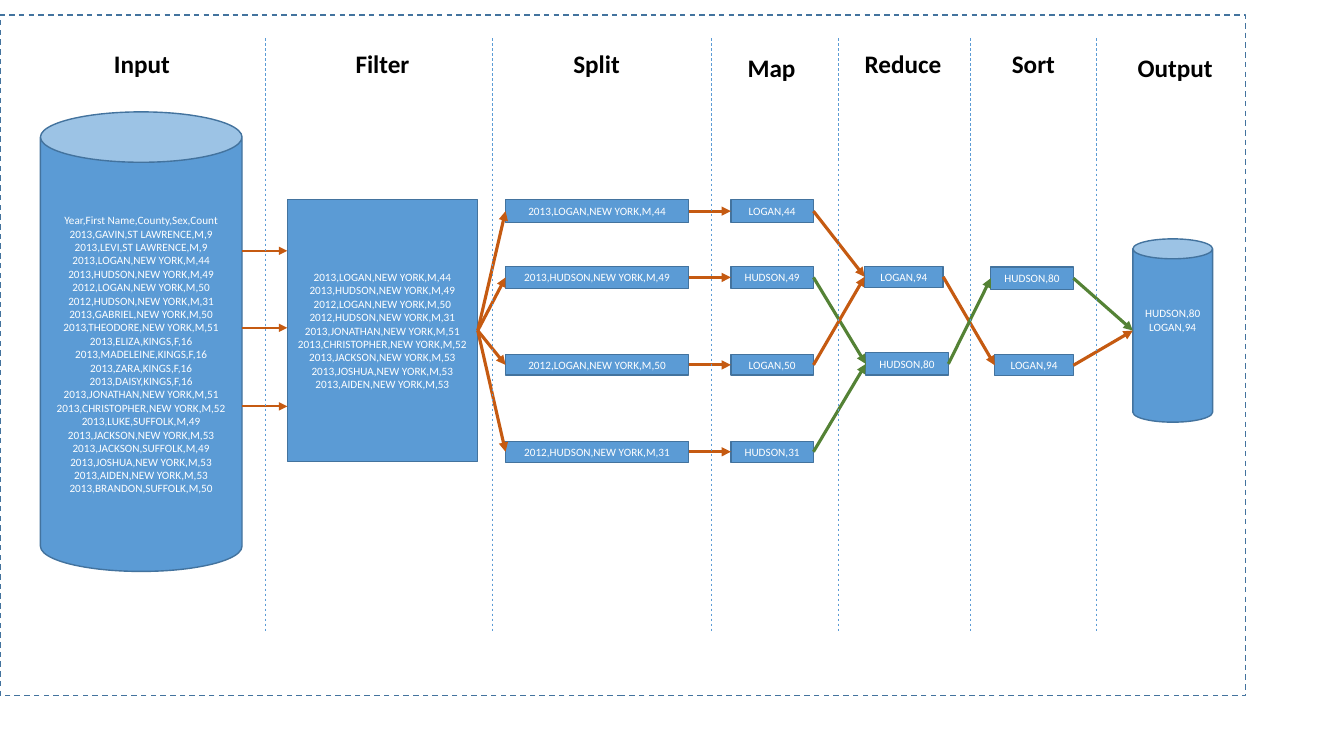
from lxml import etree
from pptx import Presentation
from pptx.dml.color import RGBColor
from pptx.enum.dml import MSO_LINE
from pptx.enum.shapes import MSO_CONNECTOR, MSO_SHAPE
from pptx.enum.text import MSO_ANCHOR, MSO_AUTO_SIZE, PP_ALIGN
from pptx.oxml.ns import qn
from pptx.util import Cm, Pt

BLUE, EDGE, ORANGE, GREEN = "5B9BD5", "43739E", "C55A11", "548235"
LEFT_SITE, RIGHT_SITE = 1, 3

RECORDS = [
    "Year,First Name,County,Sex,Count",
    "2013,GAVIN,ST LAWRENCE,M,9",
    "2013,LEVI,ST LAWRENCE,M,9",
    "2013,LOGAN,NEW YORK,M,44",
    "2013,HUDSON,NEW YORK,M,49",
    "2012,LOGAN,NEW YORK,M,50",
    "2012,HUDSON,NEW YORK,M,31",
    "2013,GABRIEL,NEW YORK,M,50",
    "2013,THEODORE,NEW YORK,M,51",
    "2013,ELIZA,KINGS,F,16",
    "2013,MADELEINE,KINGS,F,16",
    "2013,ZARA,KINGS,F,16",
    "2013,DAISY,KINGS,F,16",
    "2013,JONATHAN,NEW YORK,M,51",
    "2013,CHRISTOPHER,NEW YORK,M,52",
    "2013,LUKE,SUFFOLK,M,49",
    "2013,JACKSON,NEW YORK,M,53",
    "2013,JACKSON,SUFFOLK,M,49",
    "2013,JOSHUA,NEW YORK,M,53",
    "2013,AIDEN,NEW YORK,M,53",
    "2013,BRANDON,SUFFOLK,M,50",
]
DROPPED = ("GABRIEL", "THEODORE")
FILTERED = [record for record in RECORDS
            if "NEW YORK" in record and record.split(",")[1] not in DROPPED]

# Heading, left, top, width
HEADINGS = [
    ("Input", 2.62, 1.09, 1.93),
    ("Filter", 8.71, 1.09, 1.88),
    ("Split", 14.2, 1.09, 1.7),
    ("Map", 18.59, 1.19, 1.73),
    ("Reduce", 21.54, 1.09, 2.46),
    ("Sort", 25.25, 1.09, 1.6),
    ("Output", 28.42, 1.19, 2.41),
]
DIVIDERS = [6.68, 12.4, 17.93, 21.13, 24.46, 27.64]
SPLIT_ROWS = [(5.03, 0.58), (6.71, 0.56), (8.94, 0.51), (11.12, 0.53)]


def colour(code):
    return RGBColor.from_string(code)


class FlowSlide:
    """Draws the parts of the data flow on one slide."""

    font_name = "Calibri"

    def __init__(self, page):
        self.page = page

    def format_text(self, frame, size, code, bold=False, align=PP_ALIGN.LEFT):
        for para in frame.paragraphs:
            para.alignment = align
            for span in para.runs:
                span.font.name = self.font_name
                span.font.size = Pt(size)
                span.font.bold = bold
                span.font.color.rgb = colour(code)

    def block(self, lines, left, top, width, height,
              kind=MSO_SHAPE.RECTANGLE, bottom_inset=0.1):
        box = self.page.shapes.add_shape(kind, Cm(left), Cm(top), Cm(width), Cm(height))
        box.shadow.inherit = False
        box.fill.solid()
        box.fill.fore_color.rgb = colour(BLUE)
        box.line.color.rgb = colour(EDGE)
        box.line.width = Pt(1)
        frame = box.text_frame
        frame.word_wrap = True
        frame.vertical_anchor = MSO_ANCHOR.MIDDLE
        frame.margin_left = frame.margin_right = frame.margin_top = Cm(0.1)
        frame.margin_bottom = Cm(bottom_inset)
        frame.text = "\n".join(lines)
        self.format_text(frame, 8, "FFFFFF", align=PP_ALIGN.CENTER)
        return box

    def heading(self, text, left, top, width):
        box = self.page.shapes.add_textbox(Cm(left), Cm(top), Cm(width), Cm(1.02))
        frame = box.text_frame
        frame.word_wrap = False
        frame.auto_size = MSO_AUTO_SIZE.SHAPE_TO_FIT_TEXT
        frame.text = text
        self.format_text(frame, 18, "000000", bold=True)

    def line(self, start, end, code, width):
        points = [Cm(value) for value in (*start, *end)]
        link = self.page.shapes.add_connector(MSO_CONNECTOR.STRAIGHT, *points)
        link.line.color.rgb = colour(code)
        link.line.width = Pt(width)
        etree.SubElement(link._element.spPr, qn("a:effectLst"))
        return link

    def arrow(self, start, end, code=ORANGE, width=2.25):
        link = self.line(start, end, code, width)
        outline = link.line._get_or_add_ln()
        etree.SubElement(outline, qn("a:tailEnd"), type="triangle")
        return link

    def join(self, source, target, code=ORANGE):
        link = self.arrow((0, 0), (0, 0), code)
        link.begin_connect(source, RIGHT_SITE)
        link.end_connect(target, LEFT_SITE)

    def divider(self, x):
        self.line((x, 0.97), (x, 15.93), BLUE, 0.5).line.dash_style = MSO_LINE.DASH

    def frame(self, left, top, width, height):
        border = self.page.shapes.add_shape(
            MSO_SHAPE.RECTANGLE, Cm(left), Cm(top), Cm(width), Cm(height))
        border.shadow.inherit = False
        border.fill.background()
        border.line.color.rgb = colour(EDGE)
        border.line.width = Pt(1)
        border.line.dash_style = MSO_LINE.DASH


def main():
    deck = Presentation()
    deck.slide_width, deck.slide_height = Cm(33.87), Cm(19.05)
    flow = FlowSlide(deck.slides.add_slide(deck.slide_layouts[6]))

    # Input, filter and output
    flow.block(RECORDS, 1.02, 2.82, 5.08, 11.58, MSO_SHAPE.CAN)
    filtered = flow.block(FILTERED, 7.24, 5.03, 4.8, 6.6)
    flow.block(["HUDSON,80", "LOGAN,94"], 28.55, 6.02, 2.01, 4.62,
               MSO_SHAPE.CAN, bottom_inset=0.89)

    # Reduce and sort
    reduced = {
        "LOGAN": flow.block(["LOGAN,94"], 21.79, 6.71, 1.98, 0.53),
        "HUDSON": flow.block(["HUDSON,80"], 21.82, 8.89, 2.08, 0.56),
    }
    ordered = {
        "LOGAN": flow.block(["LOGAN,94"], 25.07, 8.94, 1.98, 0.53),
        "HUDSON": flow.block(["HUDSON,80"], 24.97, 6.73, 2.08, 0.56),
    }
    name_colours = {"LOGAN": ORANGE, "HUDSON": GREEN}

    # Split and map, one row per record
    for record, (top, height) in zip(FILTERED, SPLIT_ROWS):
        fields = record.split(",")
        name, count = fields[1], fields[-1]
        part = flow.block([record], 12.74, top, 4.62, height)
        pair = flow.block([f"{name},{count}"], 18.42, top, 2.08, height)
        flow.join(filtered, part)
        flow.join(part, pair)
        flow.join(pair, reduced[name], name_colours[name])

    # Arrows from input, through sort, to output
    for y in (6.32, 8.26, 10.24):
        flow.arrow((6.1, y), (7.24, y), width=1.5)
    for name, code in name_colours.items():
        box = ordered[name]
        flow.join(reduced[name], box, code)
        flow.arrow((27.05, (box.top + box.height / 2) / Cm(1)), (28.55, 8.33), code)

    # Headings, dividers and outer frame
    for entry in HEADINGS:
        flow.heading(*entry)
    for x in DIVIDERS:
        flow.divider(x)
    flow.frame(0, 0.38, 31.39, 17.15)

    deck.save("out.pptx")


if __name__ == "__main__":
    main()
